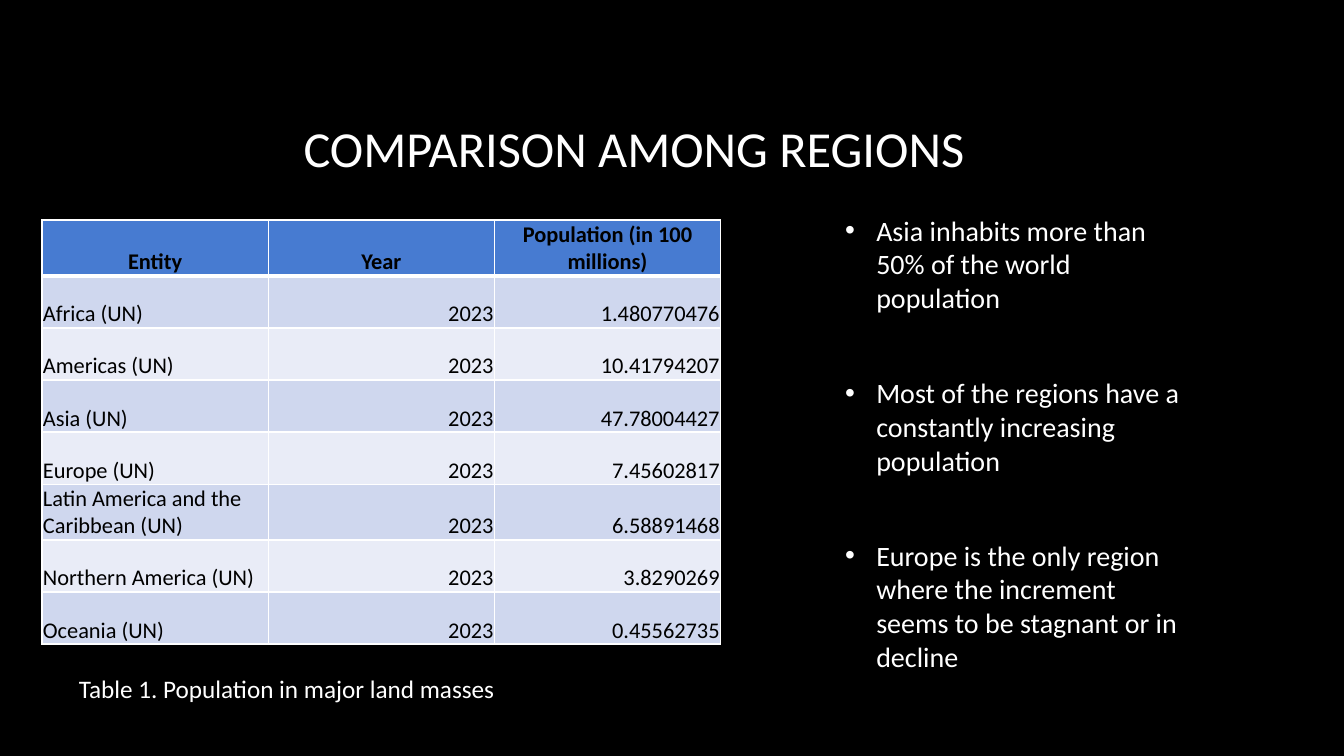
import dataclasses

import lxml.etree
import pptx
import pptx.dml.color
import pptx.enum.text
import pptx.oxml.ns
import pptx.util

ALIGN = pptx.enum.text.PP_ALIGN
ANCHOR = pptx.enum.text.MSO_ANCHOR
COLUMNS, ROWS = 160, 90


@dataclasses.dataclass(frozen=True)
class Theme:
    font: str = "Calibri"
    background: str = "000000"
    light: str = "FFFFFF"
    dark: str = "000000"
    header: str = "477BD1"
    bands: tuple = ("CFD7EE", "E9ECF7")
    title_size: int = 36
    list_size: int = 20
    caption_size: int = 18
    table_size: int = 16
    rule: int = 1
    heavy_rule: int = 3


HEADINGS = ("Entity", "Year", "Population (in 100 millions)")
POPULATIONS = {
    "Africa (UN)": "1.480770476",
    "Americas (UN)": "10.41794207",
    "Asia (UN)": "47.78004427",
    "Europe (UN)": "7.45602817",
    "Latin America and the Caribbean (UN)": "6.58891468",
    "Northern America (UN)": "3.8290269",
    "Oceania (UN)": "0.45562735",
}
FINDINGS = (
    "Asia inhabits more than 50% of the world population",
    "Most of the regions have a constantly increasing population",
    "Europe is the only region where the increment seems to be stagnant or in decline",
)


def rgb(color):
    return pptx.dml.color.RGBColor.from_string(color)


def write(para, text, *, font, size, color, bold=False, align=ALIGN.LEFT):
    para.alignment = align
    span = para.add_run()
    span.text = text
    span.font.name = font
    span.font.size = pptx.util.Pt(size)
    span.font.bold = bold
    span.font.color.rgb = rgb(color)


def draw_borders(cell, color, widths):
    """Rule the cell's left, right, top and bottom sides, widths in points."""
    properties = cell._tc.get_or_add_tcPr()
    for position, (side, width) in enumerate(zip("LRTB", widths)):
        line = lxml.etree.Element(pptx.oxml.ns.qn(f"a:ln{side}"), w=str(pptx.util.Pt(width)))
        fill = lxml.etree.SubElement(line, pptx.oxml.ns.qn("a:solidFill"))
        lxml.etree.SubElement(fill, pptx.oxml.ns.qn("a:srgbClr"), val=color)
        properties.insert(position, line)


class SlideBuilder:
    def __init__(self, deck, theme):
        self.theme = theme
        self.column = deck.slide_width / COLUMNS
        self.row = deck.slide_height / ROWS
        self.page = deck.slides.add_slide(deck.slide_layouts[1])
        self.page.background.fill.solid()
        self.page.background.fill.fore_color.rgb = rgb(theme.background)

    def area(self, left, top, width, height):
        """Turn grid columns and rows into slide lengths."""
        lengths = (left * self.column, top * self.row, width * self.column, height * self.row)
        return [pptx.util.Emu(round(length)) for length in lengths]

    def place(self, shape, *grid):
        shape.left, shape.top, shape.width, shape.height = self.area(*grid)
        shape.text_frame.word_wrap = True
        shape.text_frame.auto_size = pptx.enum.text.MSO_AUTO_SIZE.NONE
        return shape.text_frame

    def title(self, text, *grid):
        frame = self.place(self.page.shapes.title, *grid)
        frame.vertical_anchor = ANCHOR.MIDDLE
        write(frame.paragraphs[0], text, font=self.theme.font, size=self.theme.title_size,
              color=self.theme.light, align=ALIGN.CENTER)

    def bullets(self, items, *grid):
        frame = self.place(self.page.placeholders[1], *grid)
        frame.vertical_anchor = ANCHOR.TOP
        indent = pptx.util.Inches(0.31)
        for index, item in enumerate(items):
            para = frame.add_paragraph() if index else frame.paragraphs[0]
            para.space_before = pptx.util.Pt(0)
            para.space_after = pptx.util.Pt(44)
            properties = para._p.get_or_add_pPr()
            properties.set("marL", str(indent))
            properties.set("indent", str(-indent))
            write(para, item, font=self.theme.font, size=self.theme.list_size,
                  color=self.theme.light)

    def caption(self, text, *grid):
        box = self.page.shapes.add_textbox(*self.area(*grid))
        box.text_frame.word_wrap = True
        write(box.text_frame.paragraphs[0], text, font=self.theme.font,
              size=self.theme.caption_size, color=self.theme.light)

    def table(self, records, *grid):
        shape = self.page.shapes.add_table(len(records), len(records[0]), *self.area(*grid))
        for row, record in enumerate(records):
            for column, text in enumerate(record):
                self.table_cell(shape.table.cell(row, column), text, row, column)

    def table_cell(self, cell, text, row, column):
        theme = self.theme
        heading = row == 0
        cell.vertical_anchor = ANCHOR.BOTTOM
        cell.margin_left = cell.margin_right = cell.margin_top = pptx.util.Inches(0.01)
        cell.margin_bottom = 0
        cell.fill.solid()
        cell.fill.fore_color.rgb = rgb(theme.header if heading else theme.bands[(row - 1) % 2])
        above = theme.heavy_rule if row == 1 else theme.rule
        below = theme.heavy_rule if heading else theme.rule
        draw_borders(cell, theme.light, (theme.rule, theme.rule, above, below))
        align = ALIGN.CENTER if heading else ALIGN.RIGHT if column else ALIGN.LEFT
        write(cell.text_frame.paragraphs[0], text, font=theme.font, size=theme.table_size,
              color=theme.dark, bold=heading, align=align)


def main():
    deck = pptx.Presentation()
    deck.slide_width = pptx.util.Inches(13.33)
    deck.slide_height = pptx.util.Inches(7.5)
    slide = SlideBuilder(deck, Theme())
    records = [HEADINGS] + [(region, "2023", count) for region, count in POPULATIONS.items()]
    slide.title("COMPARISON AMONG REGIONS", 9, 8, 133, 19)
    slide.table(records, 5, 26.2, 80.8, 49.6)
    slide.bullets(FINDINGS, 99.4, 24.8, 44, 53.3)
    slide.caption("Table 1. Population in major land masses", 8.2, 79.6, 74, 4.8)
    deck.save("out.pptx")


if __name__ == "__main__":
    main()
